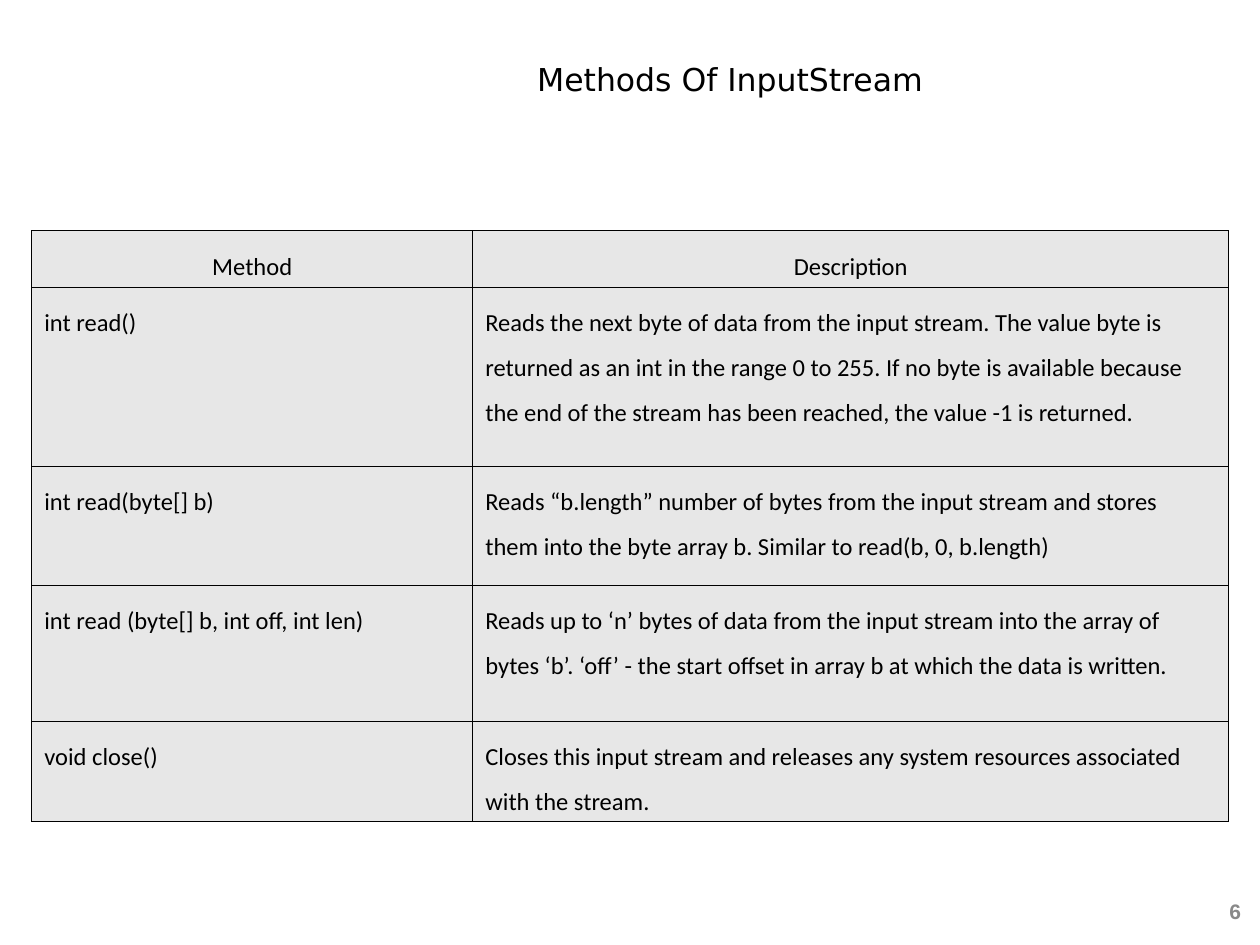
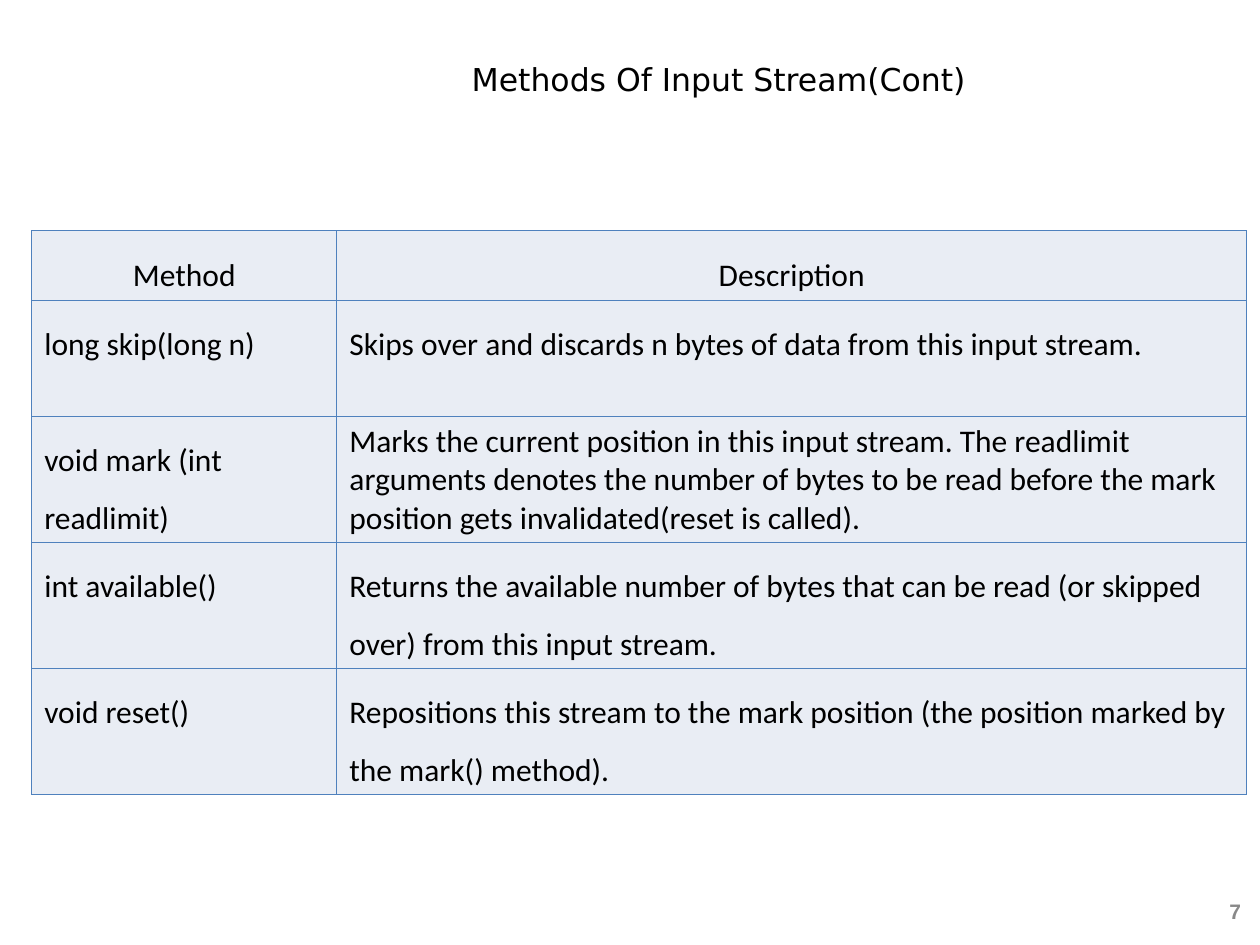
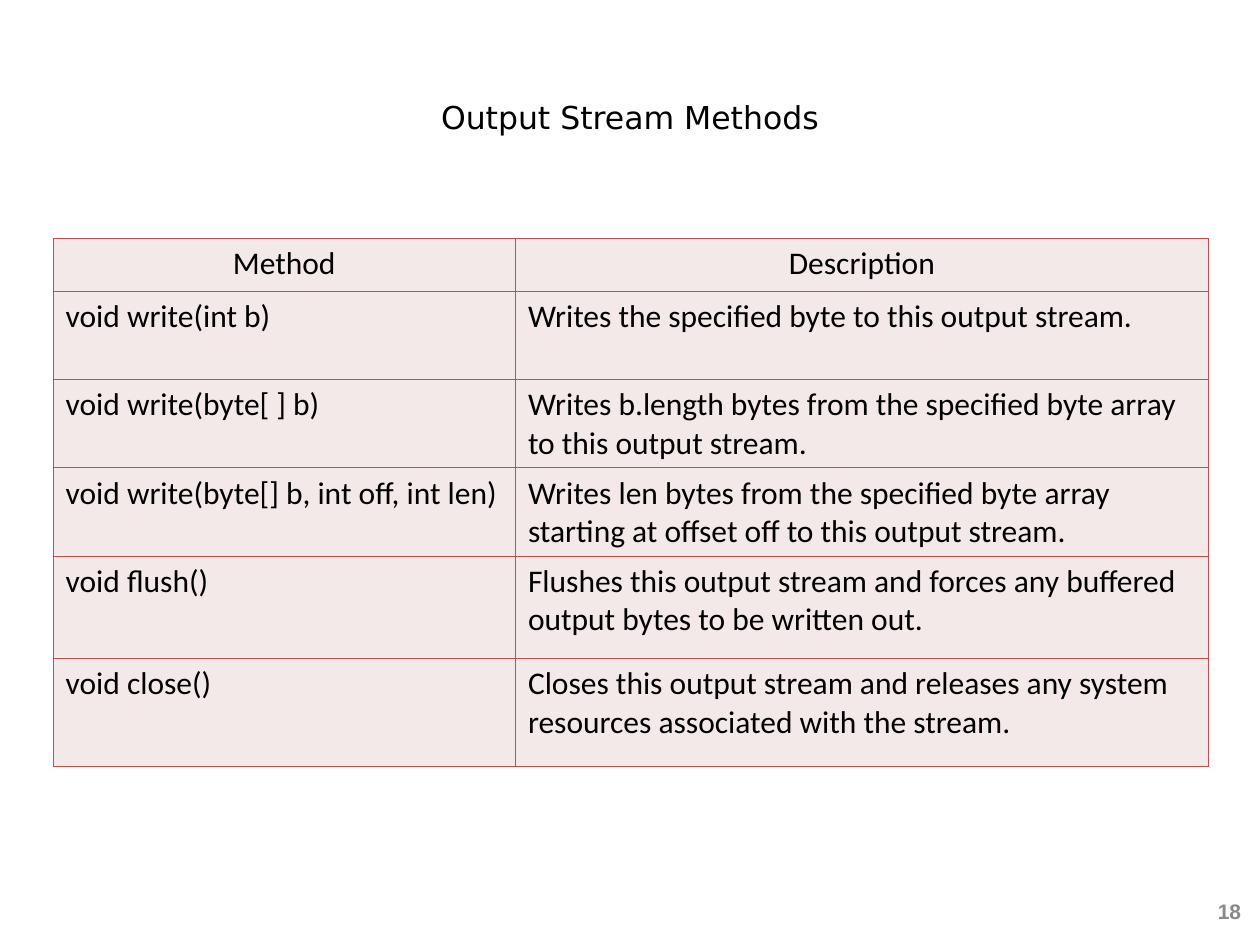
from dataclasses import dataclass
from typing import Optional

from lxml.etree import SubElement
from pptx import Presentation
from pptx.dml.color import RGBColor
from pptx.enum.text import MSO_ANCHOR, PP_ALIGN
from pptx.oxml.ns import qn
from pptx.util import Cm, Pt

COLOURS = {
    "text": "000000",
    "number": "898989",
    "grey fill": "E7E7E7",
    "grey line": "000000",
    "blue fill": "E9EDF4",
    "blue line": "4F81BD",
    "red fill": "F4E9E9",
    "red line": "C0504D",
}
TITLE_FONT = {"name": "DejaVu Sans", "size": Pt(18), "bold": False}
NUMBER_FONT = {"name": "Arial", "size": Pt(12), "bold": True}
TITLE_ONLY_LAYOUT = 5
BORDER_WIDTH = Pt(0.45)
BORDER_SIDES = ("a:lnL", "a:lnR", "a:lnT", "a:lnB")


@dataclass(frozen=True)
class MethodRow:
    method: str
    description: str
    height: float
    description_spacing: Optional[float] = None


@dataclass(frozen=True)
class MethodSlide:
    """One slide of methods; all lengths are in centimetres."""
    title: str
    number: int
    title_left: float
    title_top: float
    title_width: float
    table_left: float
    table_top: float
    column_widths: tuple[float, float]
    header_height: float
    rows: tuple[MethodRow, ...]
    palette: str
    font_size: int
    line_spacing: float


SLIDES = (
    MethodSlide(
        "Methods Of InputStream", 6, 4.24, 0, 20.96, 0.64, 4.65, (8.89, 15.24), 1.14,
        (
            MethodRow("int read()",
                      "Reads the next byte of data from the input stream. The value byte is "
                      "returned as an int in the range 0 to 255. If no byte is available because "
                      "the end of the stream has been reached, the value -1 is returned.", 3.61),
            MethodRow("int read(byte[] b)",
                      "Reads “b.length” number of bytes from the input stream and stores "
                      "them into the byte array b. Similar to read(b, 0, b.length)", 2.39),
            MethodRow("int read (byte[] b, int off, int len)",
                      "Reads up to ‘n’ bytes of data from the input stream into the array of "
                      "bytes ‘b’. ‘off’ - the start offset in array b at which the data is "
                      "written.", 2.74),
            MethodRow("void close()",
                      "Closes this input stream and releases any system resources associated "
                      "with the stream.", 2.03),
        ),
        "grey", 14, 1.5,
    ),
    MethodSlide(
        "Methods Of Input Stream(Cont)", 7, 4.01, 0, 20.96, 0.64, 4.65, (6.15, 18.34), 1.4,
        (
            MethodRow("long skip(long n)",
                      "Skips over and discards n bytes of data from this input stream.", 2.34),
            MethodRow("void mark (int readlimit)",
                      "Marks the current position in this input stream. The readlimit "
                      "arguments denotes the number of bytes to be read before the mark "
                      "position gets invalidated(reset is called).", 2.54, 1.0),
            MethodRow("int available()",
                      "Returns the available number of bytes that can be read (or skipped "
                      "over) from this input stream.", 2.54),
            MethodRow("void reset()",
                      "Repositions this stream to the mark position (the position marked by "
                      "the mark() method).", 2.54),
        ),
        "blue", 18, 1.5,
    ),
    MethodSlide(
        "Output Stream Methods", 18, 1.27, 0.76, 22.86, 1.07, 4.8, (9.32, 13.97), 1.07,
        (
            MethodRow("void write(int b)",
                      "Writes the specified byte to this output stream.", 1.78),
            MethodRow("void write(byte[ ] b)",
                      "Writes b.length bytes from the specified byte array "
                      "to this output stream.", 1.78),
            MethodRow("void write(byte[] b, int off, int len)",
                      "Writes len bytes from the specified byte array "
                      "starting at offset off to this output stream.", 1.78),
            MethodRow("void flush()",
                      "Flushes this output stream and forces any buffered "
                      "output bytes to be written out.", 2.06),
            MethodRow("void close()",
                      "Closes this output stream and releases any system "
                      "resources associated with the stream.", 2.18),
        ),
        "red", 18, 1.0,
    ),
)


def write_text(frame, text: str, font: dict, colour: str, alignment, spacing: float = 1.0) -> None:
    frame.text = text
    paragraph = frame.paragraphs[0]
    paragraph.alignment = alignment
    paragraph.line_spacing = spacing
    for run in paragraph.runs:
        for attribute, value in font.items():
            setattr(run.font, attribute, value)
        run.font.color.rgb = RGBColor.from_string(COLOURS[colour])


def add_borders(cell, colour: str) -> None:
    """Outline a cell; call before its fill is set, as the schema puts lines first."""
    properties = cell._tc.get_or_add_tcPr()
    for side in BORDER_SIDES:
        line = SubElement(properties, qn(side), w=str(int(BORDER_WIDTH)))
        fill = SubElement(line, qn("a:solidFill"))
        SubElement(fill, qn("a:srgbClr"), val=COLOURS[colour])


def place_title(slide, content: MethodSlide) -> None:
    title = slide.shapes.title
    title.left, title.top = Cm(content.title_left), Cm(content.title_top)
    title.width, title.height = Cm(content.title_width), Cm(3.18)
    title.text_frame.vertical_anchor = MSO_ANCHOR.MIDDLE
    write_text(title.text_frame, content.title, TITLE_FONT, "text", PP_ALIGN.CENTER)


def add_number(slide, number: int) -> None:
    frame = slide.shapes.add_textbox(Cm(24.03), Cm(17.93), Cm(1.24), Cm(0.89)).text_frame
    frame.word_wrap = True
    frame.vertical_anchor = MSO_ANCHOR.MIDDLE
    write_text(frame, str(number), NUMBER_FONT, "number", PP_ALIGN.RIGHT)


def add_method_table(slide, content: MethodSlide) -> None:
    rows = (MethodRow("Method", "Description", content.header_height), *content.rows)
    table = slide.shapes.add_table(
        len(rows), len(content.column_widths), Cm(content.table_left), Cm(content.table_top),
        Cm(sum(content.column_widths)), Cm(sum(row.height for row in rows)),
    ).table
    table.first_row = table.horz_banding = False
    for column, width in zip(table.columns, content.column_widths):
        column.width = Cm(width)

    font = {"name": "Calibri", "size": Pt(content.font_size), "bold": False}
    for row_index, row in enumerate(rows):
        table.rows[row_index].height = Cm(row.height)
        alignment = PP_ALIGN.LEFT if row_index else PP_ALIGN.CENTER
        texts = (
            (row.method, content.line_spacing),
            (row.description, row.description_spacing or content.line_spacing),
        )
        for column_index, (text, spacing) in enumerate(texts):
            cell = table.cell(row_index, column_index)
            add_borders(cell, f"{content.palette} line")
            cell.fill.solid()
            cell.fill.fore_color.rgb = RGBColor.from_string(COLOURS[f"{content.palette} fill"])
            write_text(cell.text_frame, text, font, "text", alignment, spacing)


def main() -> None:
    presentation = Presentation()
    presentation.slide_width, presentation.slide_height = Cm(25.4), Cm(19.05)
    for content in SLIDES:
        slide = presentation.slides.add_slide(presentation.slide_layouts[TITLE_ONLY_LAYOUT])
        place_title(slide, content)
        add_number(slide, content.number)
        add_method_table(slide, content)
    presentation.save("out.pptx")


if __name__ == "__main__":
    main()
